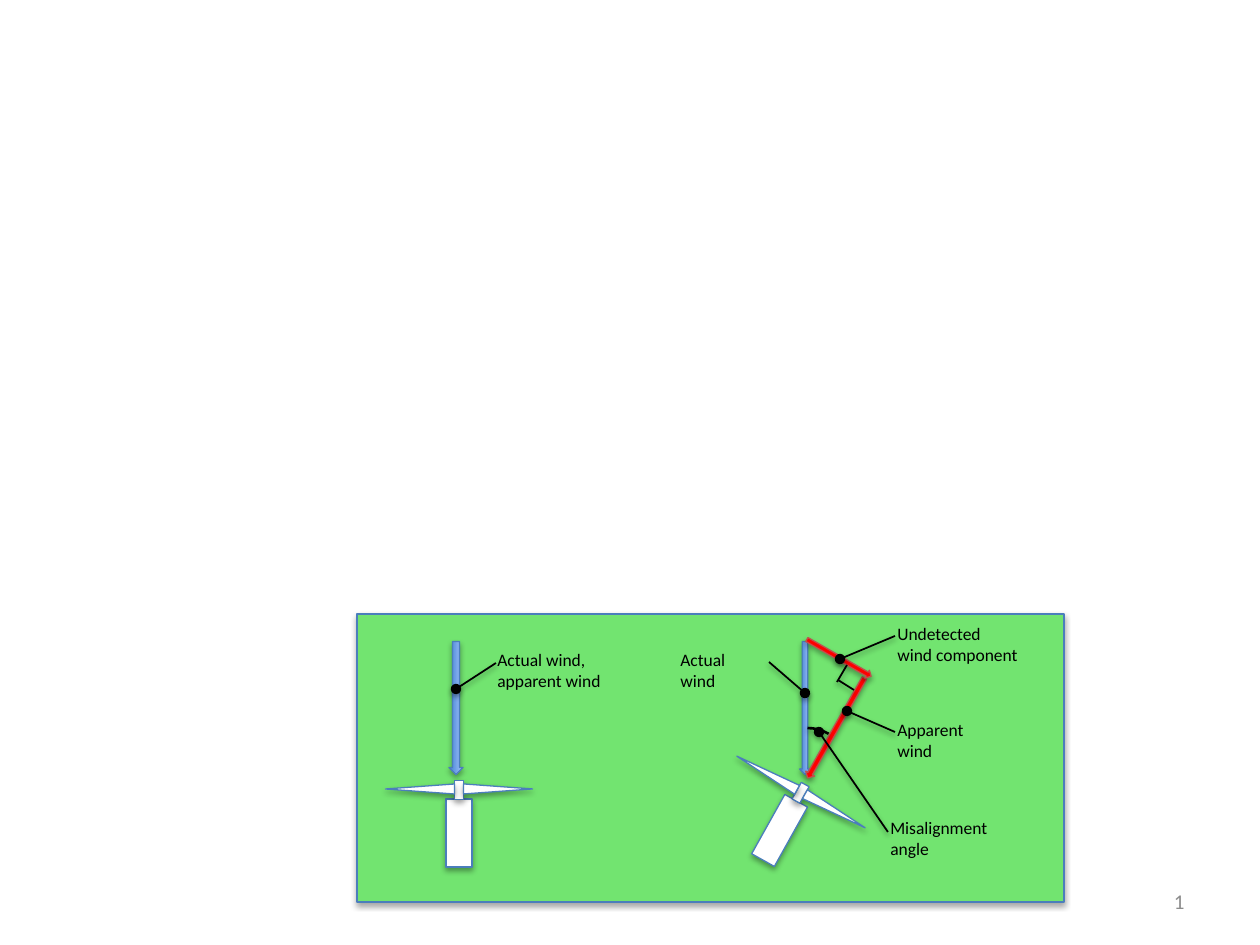
from dataclasses import dataclass
from math import cos, radians, sin

from lxml.etree import SubElement
from pptx import Presentation
from pptx.dml.color import RGBColor
from pptx.enum.shapes import MSO_CONNECTOR as Link, MSO_SHAPE as Preset
from pptx.enum.text import MSO_ANCHOR as Anchor, MSO_AUTO_SIZE as Fit, PP_ALIGN as Align
from pptx.oxml.ns import qn
from pptx.util import Emu, Pt

SCALE = 914400 / 126


@dataclass(frozen=True)
class Theme:
    font: str = "Calibri"
    label_size: int = 10
    number_size: int = 12
    ink: str = "000000"
    grey: str = "8C8C8C"
    white: str = "FFFFFF"
    field: str = "72E470"
    outline: str = "4B7EBC"
    red: str = "FF0000"
    red_outline: str = "C0504D"
    wind: tuple = ("3F80CE", "A4C4FF")


THEME = Theme()


def px(*lengths):
    return [Emu(round(length * SCALE)) for length in lengths]


def rgb(code):
    return RGBColor.from_string(code)


def cast_shadow(item, alpha, distance):
    properties = item._element.spPr
    effects = SubElement(properties, qn("a:effectLst"))
    shadow = SubElement(effects, qn("a:outerShdw"), blurRad="40000",
                        dist=str(distance), dir="5400000", rotWithShape="0")
    color = SubElement(shadow, qn("a:srgbClr"), val=THEME.ink)
    SubElement(color, qn("a:alpha"), val=str(alpha * 1000))


def add_part(shapes, preset, center, size, fill, line=THEME.outline, turn=0):
    """Add a filled shape around its centre; a pair of colours is a gradient."""
    (x, y), (width, height) = center, size
    part = shapes.add_shape(preset, *px(x - width / 2, y - height / 2, width, height))
    part.rotation = turn % 360
    if isinstance(fill, tuple):
        part.fill.gradient()
        part.fill.gradient_angle = 90
        for stop, color in zip(part.fill.gradient_stops, fill):
            stop.color.rgb = rgb(color)
    else:
        part.fill.solid()
        part.fill.fore_color.rgb = rgb(fill)
    part.line.color.rgb = rgb(line)
    part.line.width = Pt(0.75)
    cast_shadow(part, 35, 23000)


def add_line(shapes, start, end, dot=False):
    line = shapes.add_connector(Link.STRAIGHT, *px(*start, *end))
    line.line.color.rgb = rgb(THEME.ink)
    line.line.width = Pt(1)
    if dot:
        SubElement(line.line._ln, qn("a:tailEnd"), type="oval")
    cast_shadow(line, 38, 20000)


def add_text(shapes, box, words, size, color):
    text_box = shapes.add_textbox(*px(*box))
    frame = text_box.text_frame
    frame.word_wrap = True
    para = frame.paragraphs[0]
    span = para.add_run()
    span.text = words
    span.font.name = THEME.font
    span.font.size = Pt(size)
    span.font.color.rgb = rgb(color)
    return frame


def add_callout(shapes, origin, words, box, start, end):
    """Add a label and its dotted leader line."""
    left, top = origin
    x, y, width, height = box
    frame = add_text(shapes, (left + x, top + y, width, height), words,
                     THEME.label_size, THEME.ink)
    frame.auto_size = Fit.SHAPE_TO_FIT_TEXT
    add_line(shapes, shift(origin, start), shift(origin, end), dot=True)


def shift(origin, point):
    return origin[0] + point[0], origin[1] + point[1]


def add_turbine(shapes, hub, turn=0):
    """Add body, shaft and two blades, all turned about the hub."""
    parts = [
        (Preset.RECTANGLE, (0, 44), (68, 26), 90),
        (Preset.RECTANGLE, (0, 1), (19, 9), 90),
        (Preset.ISOSCELES_TRIANGLE, (39, 0), (10, 69), 90),
        (Preset.ISOSCELES_TRIANGLE, (-39, 0), (10, 69), 270),
    ]
    c, s = cos(radians(turn)), sin(radians(turn))
    for preset, (x, y), size, angle in parts:
        center = shift(hub, (x * c - y * s, x * s + y * c))
        add_part(shapes, preset, center, size, THEME.white, turn=angle + turn)


def add_aligned_scene(page, origin):
    shapes = page.shapes.add_group_shape().shapes
    add_turbine(shapes, shift(origin, (102, 175)))
    add_part(shapes, Preset.RIGHT_ARROW, shift(origin, (99, 94)), (133, 14),
             THEME.wind, turn=90)
    add_callout(shapes, origin, "Actual wind, apparent wind",
                (128, 29, 130, 55), (139, 49), (99, 75))


def add_misaligned_scene(page, origin):
    shapes = page.shapes.add_group_shape().shapes
    add_turbine(shapes, shift(origin, (133, 178)), 29.2)

    # Wind triangle
    arrows = [
        ((137, 94), (133, 11), THEME.wind, THEME.outline, 90),
        ((168, 114), (115, 10), THEME.red, THEME.red_outline, 119.6),
        ((171, 44), (74, 9), THEME.red, THEME.red_outline, 29.8),
    ]
    for center, size, fill, line, turn in arrows:
        add_part(shapes, Preset.RIGHT_ARROW, shift(origin, center), size, fill, line, turn)

    # Misalignment arc and right-angle mark
    arc = shapes.add_shape(Preset.ARC, *px(*shift(origin, (98, 114)), 83, 83))
    arc.adjustments[0], arc.adjustments[1] = 162, 180.26
    arc.fill.background()
    arc.line.color.rgb = rgb(THEME.ink)
    arc.line.width = Pt(1.5)
    cast_shadow(arc, 38, 20000)
    for start, end in [((179, 51), (169, 68)), ((170, 66), (186, 76))]:
        add_line(shapes, shift(origin, start), shift(origin, end))

    # Labels
    callouts = [
        ("Actual wind", (0, 29, 108, 34), (101, 48), (137, 79)),
        ("Apparent wind", (217, 99, 99, 55), (227, 118), (179, 97)),
        ("Undetected wind component", (217, 3, 146, 55), (227, 22), (172, 45)),
        ("Misalignment angle", (210, 197, 152, 55), (220, 218), (151, 118)),
    ]
    for callout in callouts:
        add_callout(shapes, origin, *callout)


def add_wind_panel(page, box):
    left, top, width, height = box
    add_part(page.shapes, Preset.RECTANGLE, (left + width / 2, top + height / 2),
             (width, height), THEME.field)
    add_aligned_scene(page, (left, top))
    add_misaligned_scene(page, (left + 311, top))


def add_page_number(page, box):
    frame = add_text(page.shapes, box, "1", THEME.number_size, THEME.grey)
    frame.vertical_anchor = Anchor.MIDDLE
    frame.paragraphs[0].alignment = Align.RIGHT


deck = Presentation()
deck.slide_width, deck.slide_height = px(1260, 945)
page = deck.slides.add_slide(deck.slide_layouts[6])
add_wind_panel(page, (357, 614, 707, 288))
add_page_number(page, (903, 876, 294, 50))
deck.save("out.pptx")
